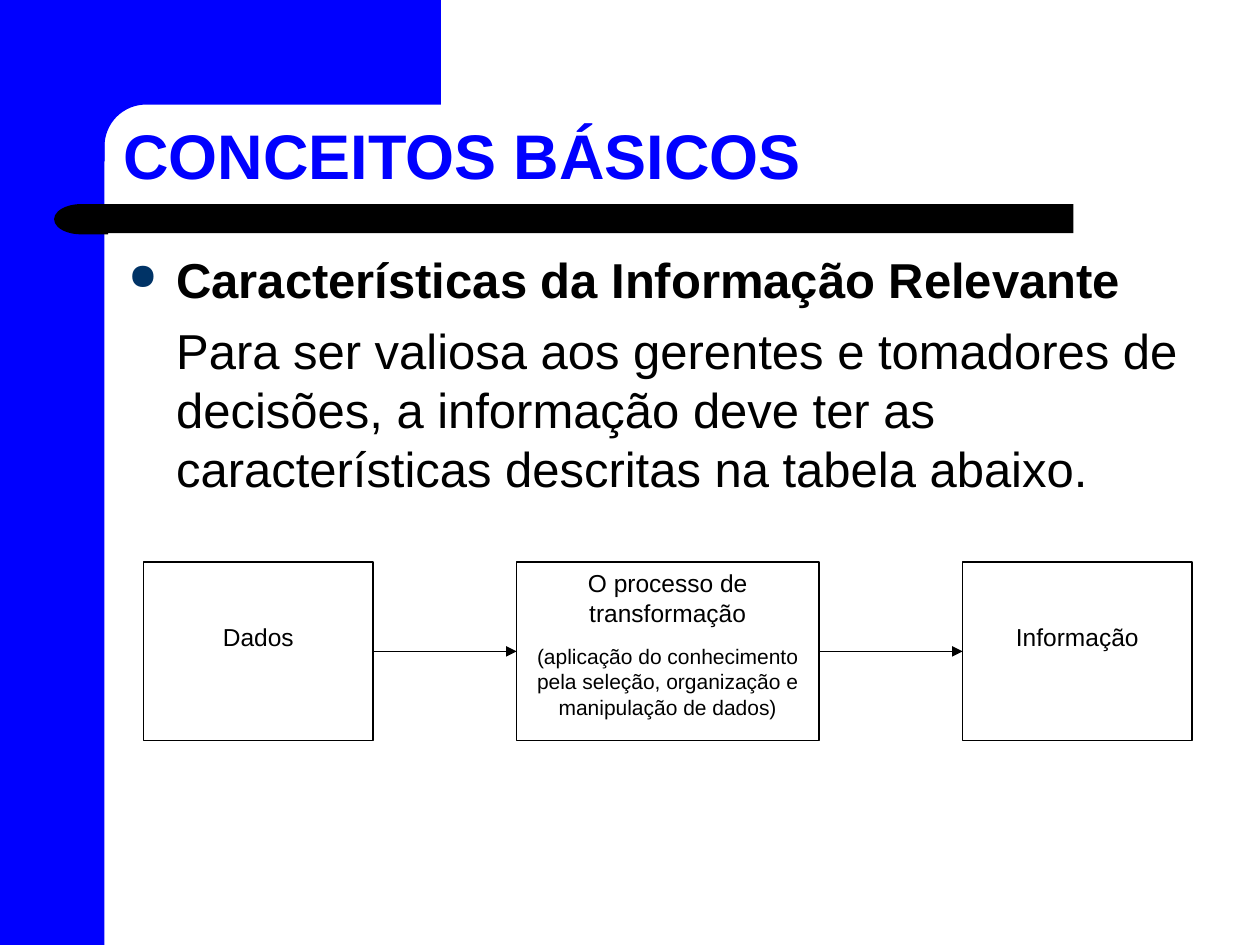
from math import cos, pi, sin

from lxml import etree
from pptx import Presentation
from pptx import util as u
from pptx.dml.color import RGBColor
from pptx.enum import shapes, text
from pptx.oxml import ns

BLUE = RGBColor(0x00, 0x00, 0xFF)
BLACK = RGBColor(0x00, 0x00, 0x00)
WHITE = RGBColor(0xFF, 0xFF, 0xFF)
BULLET = RGBColor(0x00, 0x33, 0x66)
SHAPE = shapes.MSO_SHAPE
ANCHOR = text.MSO_ANCHOR
CENTER = text.PP_ALIGN.CENTER


class SlideBuilder:
    """Holds the type style and current page, and draws each kind of element."""

    font = "Arial"
    line_width = u.Pt(0.75)

    def __init__(self, page):
        self.page = page

    def paint(self, shape, fill, line=None):
        shape.shadow.inherit = False
        shape.fill.solid()
        shape.fill.fore_color.rgb = fill
        if line is None:
            shape.line.fill.background()
        else:
            shape.line.color.rgb = line
            shape.line.width = self.line_width
        return shape

    def preset(self, kind, place, fill, line=None):
        shape = self.page.shapes.add_shape(kind, *map(u.Inches, place))
        return self.paint(shape, fill, line)

    def outline(self, points, fill):
        start, *rest = [(u.Inches(x), u.Inches(y)) for x, y in points]
        builder = self.page.shapes.build_freeform(*start)
        builder.add_line_segments(rest, close=True)
        return self.paint(builder.convert_to_shape(), fill)

    def text_box(self, place, anchor=ANCHOR.TOP):
        box = self.page.shapes.add_textbox(*map(u.Inches, place))
        box.text_frame.word_wrap = True
        box.text_frame.vertical_anchor = anchor
        return box.text_frame

    def add_span(self, para, words, size, color=BLACK, bold=False):
        span = para.add_run()
        span.text = words
        span.font.name = self.font
        span.font.size = u.Pt(size)
        span.font.bold = bold
        span.font.color.rgb = color

    def indent(self, para, left, first):
        properties = para._p.get_or_add_pPr()
        properties.set("marL", str(u.Inches(left)))
        properties.set("indent", str(u.Inches(first)))

    def bullet(self, para):
        properties = para._p.get_or_add_pPr()
        color = etree.SubElement(properties, ns.qn("a:buClr"))
        etree.SubElement(color, ns.qn("a:srgbClr"), val=str(BULLET))
        etree.SubElement(properties, ns.qn("a:buSzPct"), val="75000")
        etree.SubElement(properties, ns.qn("a:buChar"), char="●")

    def step(self, place, lines, top_margin, gap=0):
        box = self.preset(SHAPE.RECTANGLE, place, WHITE, BLACK)
        frame = box.text_frame
        frame.word_wrap = True
        frame.vertical_anchor = ANCHOR.TOP
        frame.margin_top = u.Inches(top_margin)
        for index, (words, size) in enumerate(lines):
            para = frame.add_paragraph() if index else frame.paragraphs[0]
            para.alignment = CENTER
            if index:
                para.space_before = u.Pt(gap)
            self.add_span(para, words, size)
        return box

    def arrow(self, source, target):
        line = self.page.shapes.add_connector(shapes.MSO_CONNECTOR.STRAIGHT, 0, 0, 0, 0)
        line.begin_connect(source, 3)
        line.end_connect(target, 1)
        line.line.color.rgb = BLACK
        line.line.width = self.line_width
        etree.SubElement(line.line._get_or_add_ln(), ns.qn("a:tailEnd"), type="triangle")
        etree.SubElement(line._element.spPr, ns.qn("a:effectLst"))


def draw_frame(slide):
    slide.preset(SHAPE.RECTANGLE, (0, 0, 0.83, 7.5), BLUE)
    center, radius, steps = 1.16, 0.33, 16
    angles = [pi / 2 * index / steps for index in range(steps + 1)]
    corner = [(center - radius * sin(a), center - radius * cos(a)) for a in angles]
    edge = [(0.83, 1.28), (0.5, 1.28), (0.5, 0), (3.5, 0), (3.5, 0.83)]
    slide.outline(corner + edge, BLUE)
    slide.preset(SHAPE.RECTANGLE, (0.85, 1.62, 7.67, 0.23), BLACK)
    cap = slide.preset(SHAPE.FLOWCHART_DELAY, (0.43, 1.62, 0.43, 0.24), BLACK)
    cap._element.spPr.get_or_add_xfrm().set("flipH", "1")


def draw_text(slide):
    title = slide.text_box((0.88, 0.89, 9.07, 0.69), ANCHOR.BOTTOM).paragraphs[0]
    title.line_spacing = 0.9
    slide.add_span(title, "CONCEITOS BÁSICOS", 36, BLUE, bold=True)

    body = slide.text_box((0.92, 1.93, 9.08, 2.77))
    heading = body.paragraphs[0]
    slide.indent(heading, 0.38, -0.38)
    slide.bullet(heading)
    slide.add_span(heading, "Características da Informação Relevante", 28, bold=True)
    detail = body.add_paragraph()
    slide.indent(detail, 0.38, 0)
    detail.space_before = u.Pt(7)
    slide.add_span(
        detail,
        "Para ser valiosa aos gerentes e tomadores de decisões, a informação "
        "deve ter as características descritas na tabela abaixo.",
        28,
    )


def draw_flow(slide):
    process = [
        ("O processo de transformação", 14),
        ("(aplicação do conhecimento pela seleção, organização e manipulação de dados)", 12),
    ]
    steps = [
        (1.82, [("Dados", 14)], 0.48, 0),
        (2.4, process, 0.05, 9.6),
        (1.82, [("Informação", 14)], 0.48, 0),
    ]
    left, spacing, previous = 1.14, 1.14, None
    for width, lines, top_margin, gap in steps:
        box = slide.step((left, 4.46, width, 1.42), lines, top_margin, gap)
        if previous is not None:
            slide.arrow(previous, box)
        previous = box
        left += width + spacing


def main():
    deck = Presentation()
    deck.slide_width, deck.slide_height = u.Inches(10), u.Inches(7.5)
    slide = SlideBuilder(deck.slides.add_slide(deck.slide_layouts[6]))
    draw_frame(slide)
    draw_text(slide)
    draw_flow(slide)
    deck.save("out.pptx")


if __name__ == "__main__":
    main()
